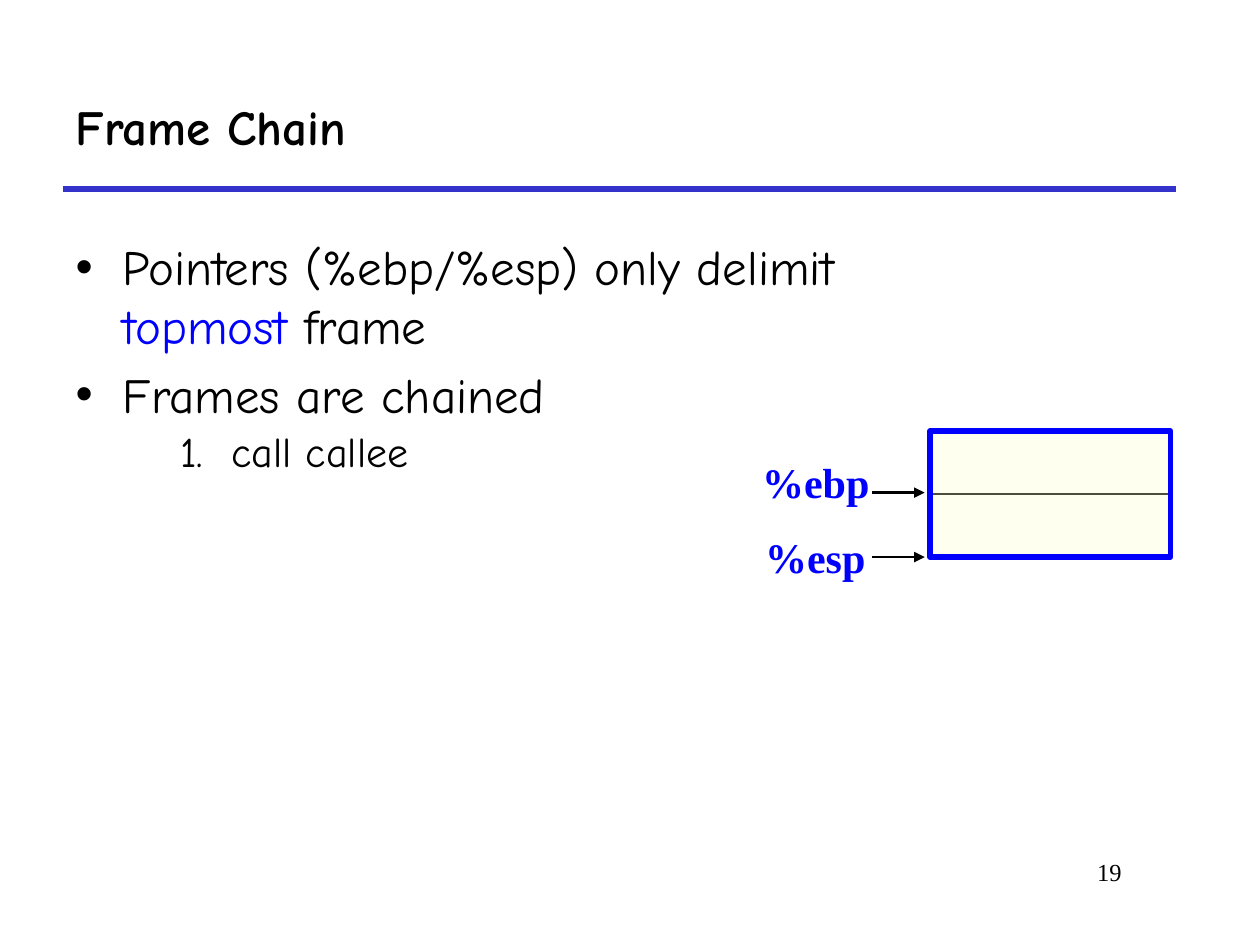
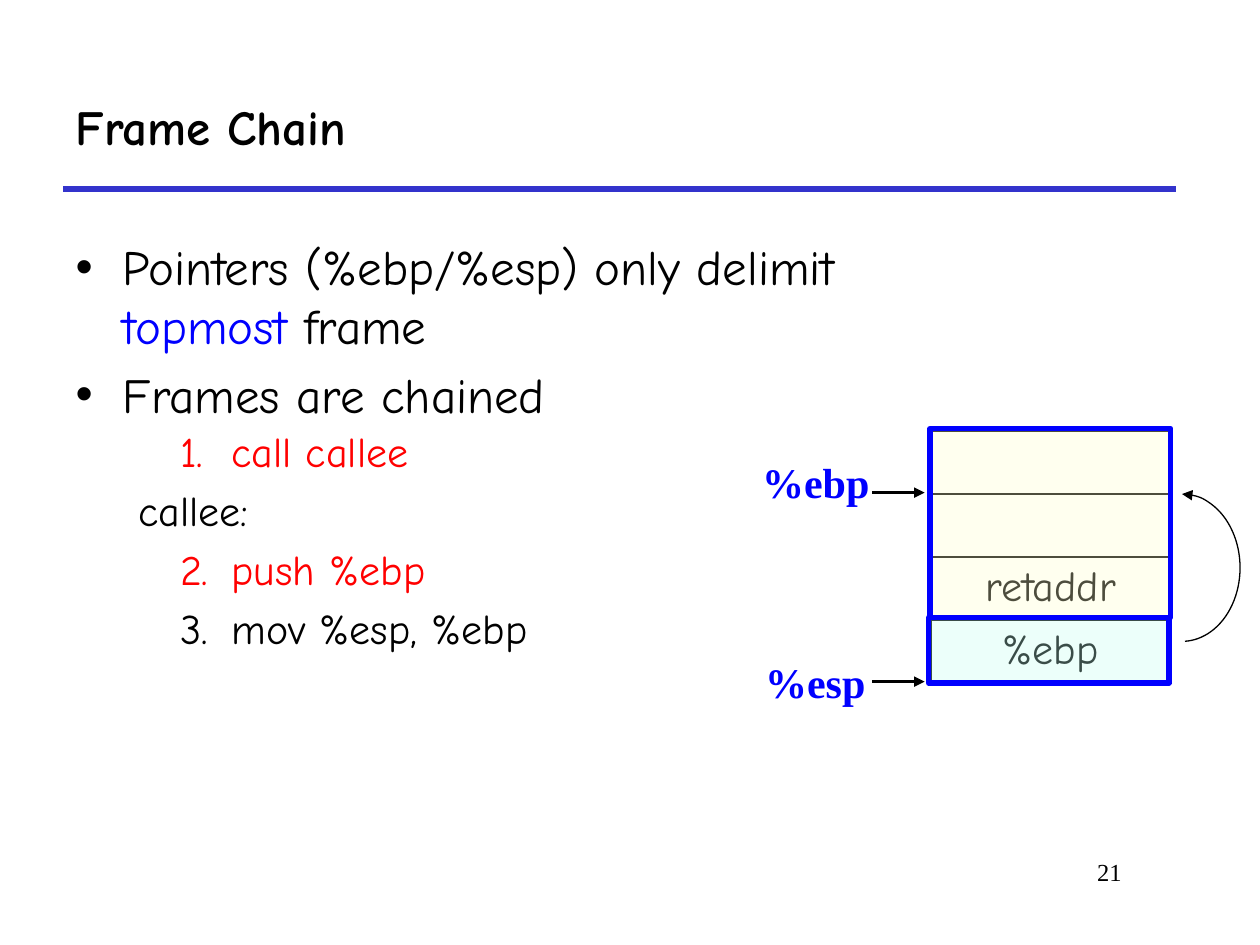
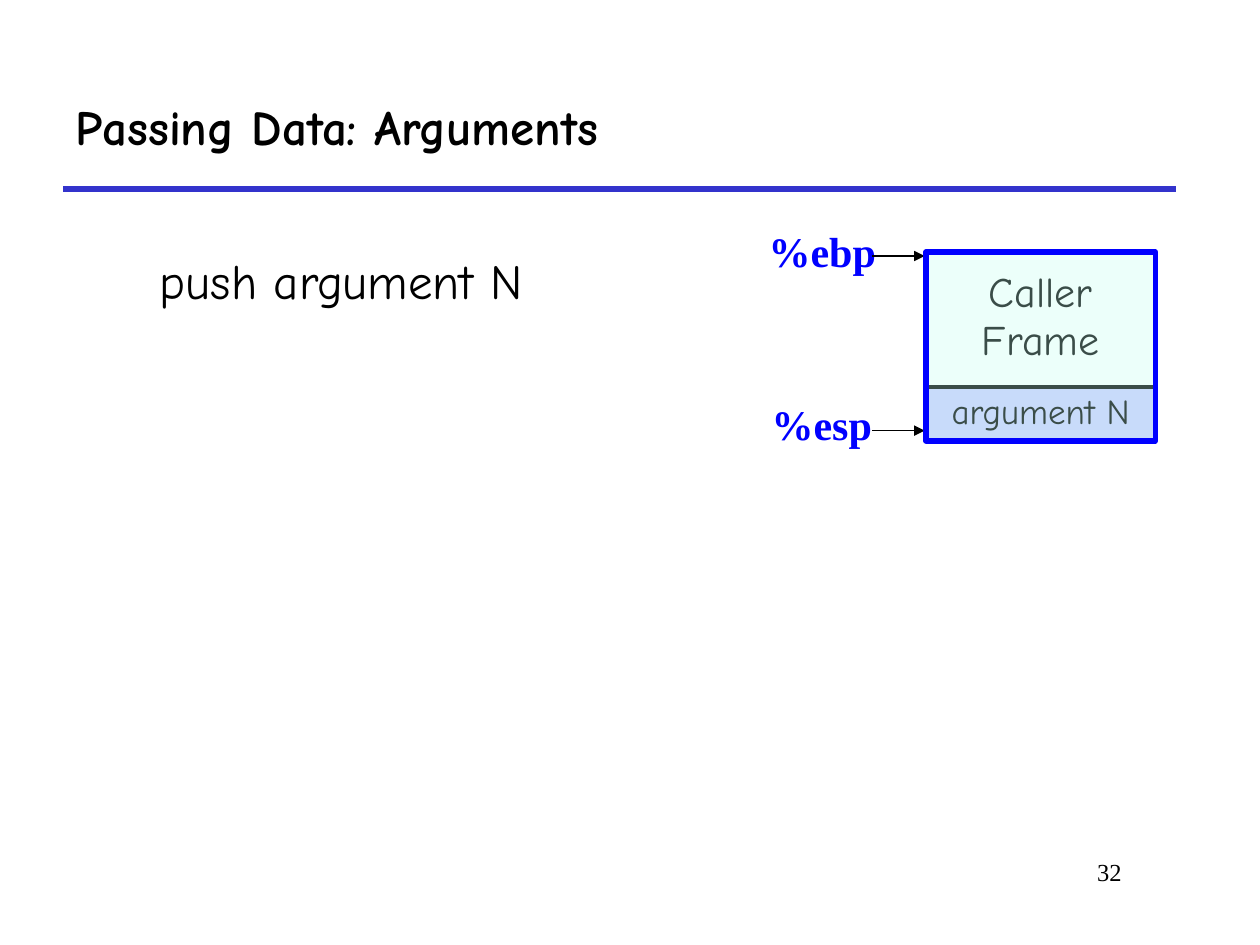
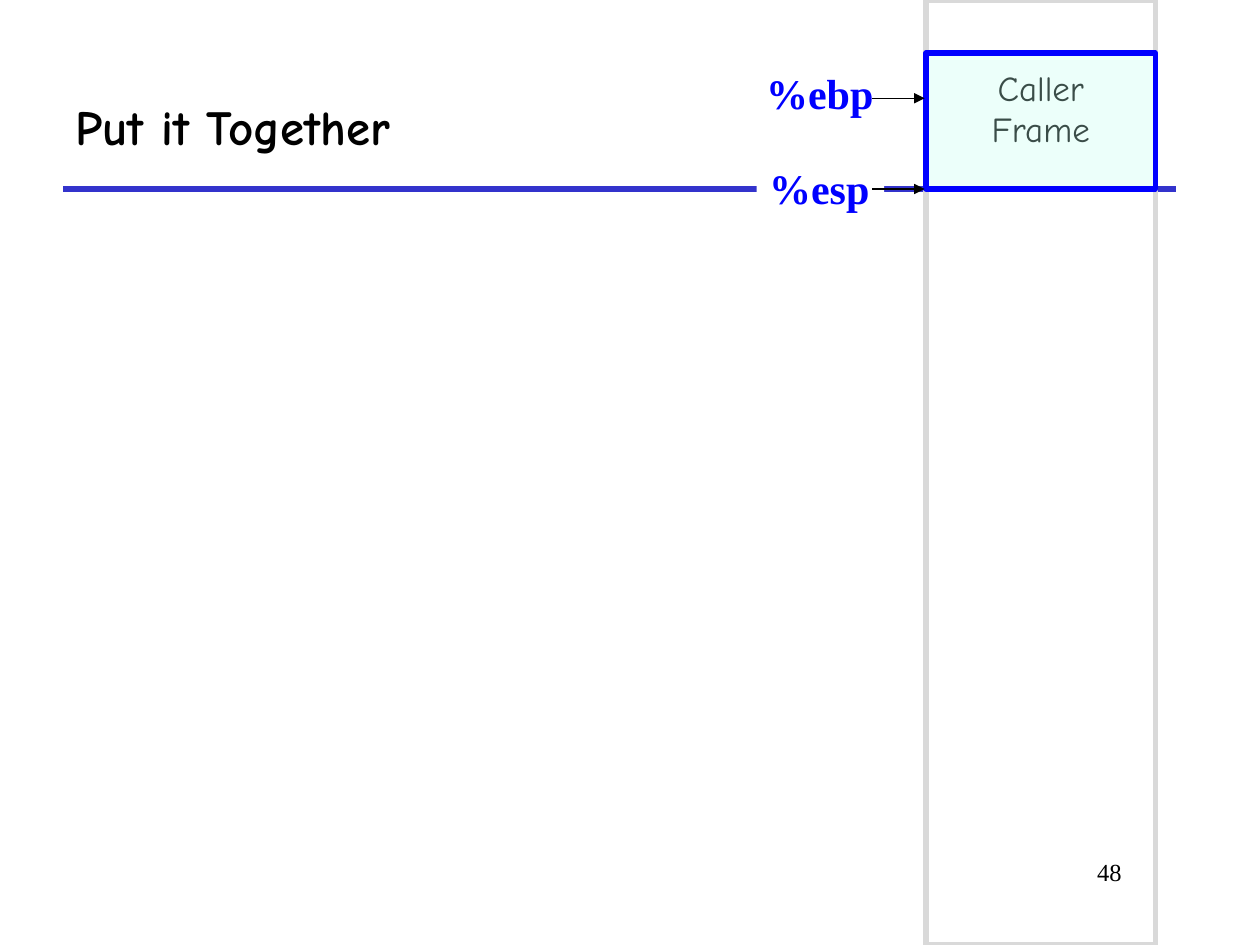
from lxml import etree
from pptx import Presentation
from pptx import util as u
from pptx.dml.color import RGBColor
from pptx.enum import shapes, text
from pptx.oxml import ns

Cm, Pt = u.Cm, u.Pt

# Colours and fonts
BLACK = RGBColor(0x00, 0x00, 0x00)
WHITE = RGBColor(0xFF, 0xFF, 0xFF)
BLUE = RGBColor(0x00, 0x00, 0xFF)
RED = RGBColor(0xFF, 0x00, 0x00)
RULE_BLUE = RGBColor(0x33, 0x33, 0xCC)
LAVENDER = RGBColor(0xCC, 0xCC, 0xFF)
YELLOW = RGBColor(0xFF, 0xFF, 0xCC)
MINT = RGBColor(0xC2, 0xFF, 0xF0)
GREY = RGBColor(0xD9, 0xD9, 0xD9)
HAND = "Comic Neue"
SERIF = "Times New Roman"

# Shared geometry, in centimetres
STACK_X, STACK_W, SLOT_H = 18.75, 4.85, 1.27
FRAME_X, FRAME_W = 18.67, 4.62
ARROW_X = (17.58, 18.64)
LABEL_W = {"%ebp": 2.69, "%esp": 2.57}

# Layouts of the default template
TITLE_AND_BODY, TITLE_ONLY = 1, 5


class Deck:
    def __init__(self):
        self.prs = Presentation()
        self.prs.slide_width, self.prs.slide_height = Cm(25.4), Cm(19.05)
        self.slide = None

    def new_slide(self, title, number, layout=TITLE_AND_BODY):
        self.slide = self.prs.slides.add_slide(self.prs.slide_layouts[layout])
        heading = self.slide.shapes.title
        self.place(heading, 1.27, 1.27, 22.43, 2.54)
        frame = heading.text_frame
        frame.auto_size = text.MSO_AUTO_SIZE.NONE
        frame.vertical_anchor = text.MSO_ANCHOR.MIDDLE
        self.add_runs(frame.paragraphs[0], [(title, BLACK)], 28, bold=True,
                      align=text.PP_ALIGN.LEFT)
        self.line(1.27, 3.81, 23.7, 3.81, RULE_BLUE, 3)
        page = self.text_box(19.25, 17.15, 3.61, 1.27)
        self.add_runs(page.paragraphs[0], [(str(number), BLACK)], 14, SERIF,
                      align=text.PP_ALIGN.RIGHT)

    @staticmethod
    def place(shape, x, y, w, h):
        shape.left, shape.top, shape.width, shape.height = map(Cm, (x, y, w, h))

    @staticmethod
    def add_runs(paragraph, runs, size, font=HAND, bold=False, align=None):
        if align is not None:
            paragraph.alignment = align
        for words, color in runs:
            run = paragraph.add_run()
            run.text = words
            run.font.name, run.font.size, run.font.bold = font, Pt(size), bold
            run.font.color.rgb = color

    @staticmethod
    def paragraph(frame, index):
        if index:
            return frame.add_paragraph()
        first = frame.paragraphs[0]
        first.space_before = Pt(0)
        return first

    @staticmethod
    def indent(paragraph, margin, hanging=0):
        props = paragraph._p.get_or_add_pPr()
        props.set("marL", str(Cm(margin)))
        props.set("indent", str(Cm(-hanging)))
        return props

    def text_box(self, x, y, w, h):
        frame = self.slide.shapes.add_textbox(Cm(x), Cm(y), Cm(w), Cm(h)).text_frame
        frame.word_wrap = True
        return frame

    def body(self, x, y, w, h, items, bullets=True, spacing=None):
        holder = self.slide.placeholders[1]
        self.place(holder, x, y, w, h)
        frame = holder.text_frame
        frame.auto_size = text.MSO_AUTO_SIZE.NONE
        for i, runs in enumerate(items):
            item = self.paragraph(frame, i)
            if spacing:
                item.line_spacing = spacing
            if not bullets:
                etree.SubElement(self.indent(item, 0), ns.qn("a:buNone"))
            self.add_runs(item, runs, 28)

    def steps(self, height, items):
        """Instructions; those with a tab hang behind their number."""
        frame = self.text_box(1.27, 8.46, 12.7, height)
        for i, (words, color) in enumerate(items):
            step = self.paragraph(frame, i)
            if i:
                step.space_before = Pt(4.8)
            if "\t" in words:
                self.indent(step, 3.15, 1.04)
            else:
                self.indent(step, 1.27)
            self.add_runs(step, [(words, color)], 24)

    @staticmethod
    def arrowhead(shape, end):
        line = shape.line._get_or_add_ln()
        etree.SubElement(line, ns.qn(f"a:{end}End"), type="triangle")

    def line(self, x1, y1, x2, y2, color, weight):
        line = self.slide.shapes.add_connector(
            shapes.MSO_CONNECTOR.STRAIGHT, Cm(x1), Cm(y1), Cm(x2), Cm(y2))
        line.line.color.rgb, line.line.width = color, Pt(weight)
        etree.SubElement(line._element.spPr, ns.qn("a:effectLst"))
        return line

    def pointer(self, register, center, top, arrow_y, weight, fill=None):
        width = LABEL_W[register]
        label = self.slide.shapes.add_textbox(
            Cm(center - width / 2), Cm(top), Cm(width), Cm(1.3))
        if fill is not None:
            label.fill.solid()
            label.fill.fore_color.rgb = fill
        frame = label.text_frame
        frame.word_wrap = False
        frame.auto_size = text.MSO_AUTO_SIZE.SHAPE_TO_FIT_TEXT
        self.add_runs(frame.paragraphs[0], [(register, BLUE)], 24, SERIF, bold=True)
        start, end = ARROW_X
        self.arrowhead(self.line(start, arrow_y, end, arrow_y, BLACK, weight), "tail")

    def outline(self, x, y, w, h, color=BLUE, tint=None):
        box = self.slide.shapes.add_shape(
            shapes.MSO_SHAPE.RECTANGLE, Cm(x), Cm(y), Cm(w), Cm(h))
        box.shadow.inherit = False
        box.line.color.rgb, box.line.width = color, Pt(3)
        if tint is None:
            box.fill.background()
        else:
            box.fill.solid()
            box.fill.fore_color.rgb = tint
            tone = box._element.spPr.find(ns.qn("a:solidFill"))[0]
            etree.SubElement(tone, ns.qn("a:alpha"), val="30000")

    def return_arc(self, x, y, w, h):
        arc = self.slide.shapes.add_shape(
            shapes.MSO_SHAPE.ARC, Cm(x), Cm(y), Cm(w), Cm(h))
        arc.adjustments[1] = 52.61
        arc.shadow.inherit = False
        arc.fill.background()
        arc.line.color.rgb, arc.line.width = BLACK, Pt(0.75)
        self.arrowhead(arc, "head")

    @staticmethod
    def borders(cell, side_weight, row_weight):
        props = cell._tc.get_or_add_tcPr()
        for side in "LRTB":
            weight = side_weight if side in "LR" else row_weight
            edge = etree.SubElement(props, ns.qn(f"a:ln{side}"), w=str(Pt(weight)))
            paint = etree.SubElement(edge, ns.qn("a:solidFill"))
            etree.SubElement(paint, ns.qn("a:srgbClr"), val=str(BLACK))

    def slots(self, x, y, w, row_h, labels, size=24, fill=WHITE,
              row_weight=2.25, top_margin=0.13):
        table = self.slide.shapes.add_table(
            len(labels), 1, Cm(x), Cm(y), Cm(w), Cm(row_h * len(labels))).table
        table.first_row = table.horz_banding = False
        for i, label in enumerate(labels):
            table.rows[i].height = Cm(row_h)
            cell = table.cell(i, 0)
            self.borders(cell, 2.25, row_weight)
            if fill is None:
                cell.fill.background()
            else:
                cell.fill.solid()
                cell.fill.fore_color.rgb = fill
            cell.margin_top = Cm(top_margin)
            words = cell.text_frame.paragraphs[0]
            for n, part in enumerate(label.splitlines()):
                if n:
                    words.add_line_break()
                self.add_runs(words, [(part, BLACK)], size,
                              align=text.PP_ALIGN.CENTER)

    def caller_frame(self, top, height, size):
        self.slots(FRAME_X, top, FRAME_W, height, ["Caller\nFrame"], size,
                   fill=None, top_margin=0.35)
        self.outline(FRAME_X, top, FRAME_W, height, tint=MINT)

    def frame_chain(self, number, body_h, slot_labels, esp_top, esp_y):
        """What both frame chain slides share."""
        self.new_slide("Frame Chain", number)
        self.body(1.27, 4.65, 16.84, body_h, [
            [("Pointers (%ebp/%esp) only delimit ", BLACK), ("topmost ", BLUE),
             ("frame", BLACK)],
            [("Frames are chained", BLACK)]])
        self.slots(STACK_X, 8.69, STACK_W, SLOT_H, slot_labels, row_weight=1)
        self.pointer("%ebp", 16.46, 9.07, 9.93, 1.5)
        self.pointer("%esp", 16.46, esp_top, esp_y, 1.5)


def main():
    deck = Deck()

    # Frame chain: before the call
    deck.frame_chain(19, 4.24, ["", ""], 10.59, 11.23)
    deck.outline(STACK_X, 8.69, STACK_W, 2 * SLOT_H, tint=YELLOW)
    deck.steps(1.3, [("1.\tcall callee", BLACK)])

    # Frame chain: old %ebp pushed
    deck.frame_chain(21, 5.69, ["", "", "retaddr", "%ebp"], 13.11, 13.74)
    deck.outline(18.72, 12.45, STACK_W, 1.32, tint=MINT)
    deck.outline(STACK_X, 8.64, STACK_W, 3 * SLOT_H, tint=YELLOW)
    deck.steps(6.2, [("1.\tcall callee", RED), ("callee:", BLACK),
                     ("2.\tpush %ebp", RED), ("3.\tmov %esp, %ebp", BLACK)])
    deck.return_arc(22.66, 9.96, 2.34, 2.97)

    # Passing arguments
    deck.new_slide("Passing Data: Arguments", 32)
    deck.body(2.97, 4.45, 21.59, 12.27, [[("push argument N", BLACK)]],
              bullets=False, spacing=1.4)
    deck.slots(FRAME_X, 7.8, FRAME_W, 1.09, ["argument N"], 20, fill=LAVENDER)
    deck.pointer("%ebp", 16.59, 4.42, 5.16, 0.75)
    deck.pointer("%esp", 16.59, 7.9, 8.68, 0.75)
    deck.caller_frame(5.08, 3.81, 24)

    # Putting it together
    deck.new_slide("Put it Together", 48, TITLE_ONLY)
    deck.outline(FRAME_X, 0, FRAME_W, 19.05, color=GREY)
    deck.caller_frame(1.07, 2.74, 20)
    deck.pointer("%ebp", 16.54, 1.24, 1.98, 0.75, fill=WHITE)
    deck.pointer("%esp", 16.54, 3.15, 3.81, 0.75, fill=WHITE)

    deck.prs.save("out.pptx")


if __name__ == "__main__":
    main()
